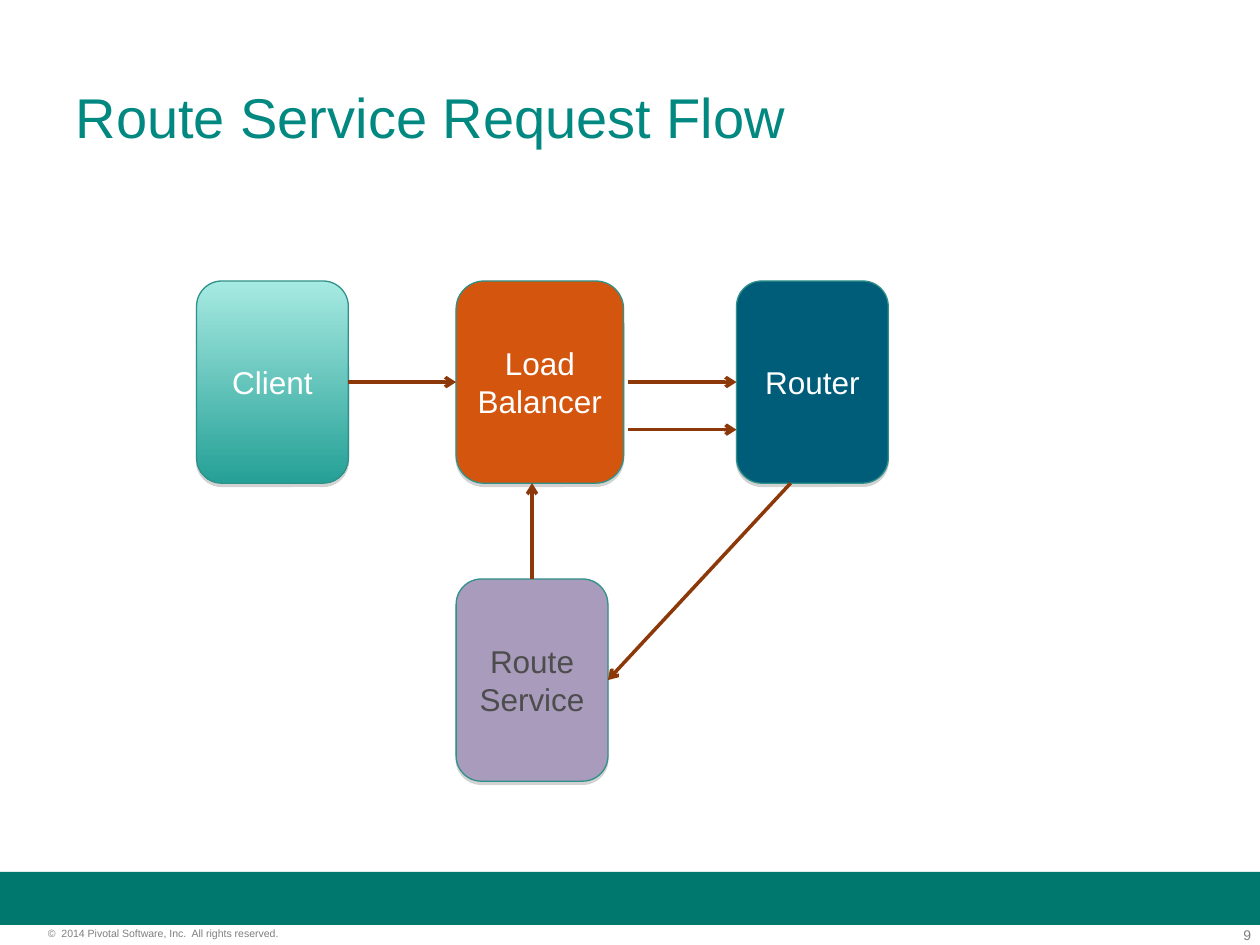
import pptx
import pptx.dml.color
import pptx.enum.shapes
import pptx.enum.text
import pptx.oxml.ns
import pptx.util
from lxml import etree

COLUMNS, ROWS = 100, 75  # square grid cells of a tenth of an inch
CELL = pptx.util.Inches(0.1)
CARD_WIDTH, CARD_HEIGHT = 12.05, 16.05
WIDE_CARD = 13.3
ALIGN = pptx.enum.text.PP_ALIGN
SHAPES = pptx.enum.shapes.MSO_SHAPE
MIDDLE = pptx.enum.text.MSO_ANCHOR.MIDDLE


def cells(*counts):
    return [round(count * CELL) for count in counts]


def color(hex_string):
    return pptx.dml.color.RGBColor.from_string(hex_string)


def add_xml(parent, tag, **attributes):
    return etree.SubElement(parent, pptx.oxml.ns.qn(tag), attributes)


def style(para, size, hex_string, align):
    para.alignment = align
    para.font.name = "Arial"
    para.font.size = pptx.util.Pt(size)
    para.font.color.rgb = color(hex_string)


def title(page, box, text):
    heading = page.shapes.title
    heading.left, heading.top, heading.width, heading.height = cells(*box)
    heading.text_frame.text = text
    heading.text_frame.vertical_anchor = MIDDLE
    style(heading.text_frame.paragraphs[0], 32, "008881", ALIGN.LEFT)


def small_print(page, box, text, size, align):
    frame = page.shapes.add_textbox(*cells(*box)).text_frame
    frame.margin_left = frame.margin_right = frame.margin_top = frame.margin_bottom = 0
    frame.word_wrap = True
    frame.text = text
    style(frame.paragraphs[0], size, "7F7F7F", align)


def footer(page, box):
    left, top, width, height = box
    band = page.shapes.add_shape(SHAPES.RECTANGLE, *cells(left, top, width, 4.2))
    band.shadow.inherit = False
    band.fill.solid()
    band.fill.fore_color.rgb = color("00786E")
    band.line.fill.background()
    small_print(page, (left + 3.8, top + 4.4, 24.9, 1),
                "©  2014 Pivotal Software, Inc.  All rights reserved.", 6, ALIGN.LEFT)
    small_print(page, (left + width - 6.5, top + 4.3, 5.8, 1.3), "9", 8, ALIGN.RIGHT)


def card(page, box, text, fills, text_color="FFFFFF"):
    shape = page.shapes.add_shape(SHAPES.ROUNDED_RECTANGLE, *cells(*box))
    if len(fills) > 1:
        shape.fill.gradient()
        shape.fill.gradient_angle = 270
        for stop, hex_string in zip(shape.fill.gradient_stops, fills):
            stop.color.rgb = color(hex_string)
    else:
        shape.fill.solid()
        shape.fill.fore_color.rgb = color(fills[0])
    shape.line.color.rgb = color("2F9189")
    shape.line.width = pptx.util.Pt(0.75)

    # Soft drop shadow straight below the card
    shape.shadow.inherit = False
    effects = shape.element.spPr.find(pptx.oxml.ns.qn("a:effectLst"))
    shadow = add_xml(effects, "a:outerShdw", blurRad="0", dist=str(pptx.util.Pt(1.8)),
                     dir="5400000", rotWithShape="0")
    add_xml(add_xml(shadow, "a:srgbClr", val="808080"), "a:alpha", val="35000")

    frame = shape.text_frame
    frame.word_wrap = True
    frame.vertical_anchor = MIDDLE
    frame.text = text
    for para in frame.paragraphs:
        style(para, 18, text_color, ALIGN.CENTER)
    return shape


def arrow(page, start=(0, 0), end=(0, 0), source=None, target=None):
    """Draw between points; a source or target (shape, side) joins that end."""
    line = page.shapes.add_connector(
        pptx.enum.shapes.MSO_CONNECTOR.STRAIGHT, *cells(*start, *end))
    if source:
        line.begin_connect(*source)
    if target:
        line.end_connect(*target)
    line.line.color.rgb = color("8D3809")
    line.line.width = pptx.util.Pt(2)
    add_xml(line.line._get_or_add_ln(), "a:tailEnd", type="arrow")
    add_xml(line.element.spPr, "a:effectLst")


def request_flow(page, box):
    left, top, width, height = box
    middle, right = left + 20.6, left + width - CARD_WIDTH
    upper_end, lower = top + CARD_HEIGHT, top + height - CARD_HEIGHT
    gap_start = middle + WIDE_CARD + 0.35

    # Cards
    client = card(page, (left, top, CARD_WIDTH, CARD_HEIGHT),
                  "Client", ["A6EAE2", "25A096"])
    balancer = card(page, (middle, top, WIDE_CARD, CARD_HEIGHT),
                    "Load\nBalancer", ["D3550E"])
    router = card(page, (right, top, CARD_WIDTH, CARD_HEIGHT), "Router", ["005D7A"])
    service = card(page, (middle, lower, CARD_WIDTH, CARD_HEIGHT),
                   "Route Service", ["A99BBC"], "4D4D4D")

    # Request path
    arrow(page, source=(client, 3), target=(balancer, 1))
    arrow(page, start=(gap_start, top + CARD_HEIGHT / 2), target=(router, 1))
    arrow(page, start=(right + 4.3, upper_end), target=(service, 3))
    arrow(page, end=(middle + CARD_WIDTH / 2, upper_end), source=(service, 0))
    arrow(page, start=(gap_start, top + 11.8), end=(right, top + 11.8))


def main():
    deck = pptx.Presentation()
    deck.slide_width, deck.slide_height = cells(COLUMNS, ROWS)
    page = deck.slides.add_slide(deck.slide_layouts[5])
    footer(page, (0, 69.2, COLUMNS, ROWS - 69.2))
    title(page, (5, 3, COLUMNS - 10, 12.5), "Route Service Request Flow")
    request_flow(page, (15.6, 22.3, 54.9, 39.7))
    deck.save("out.pptx")


if __name__ == "__main__":
    main()
